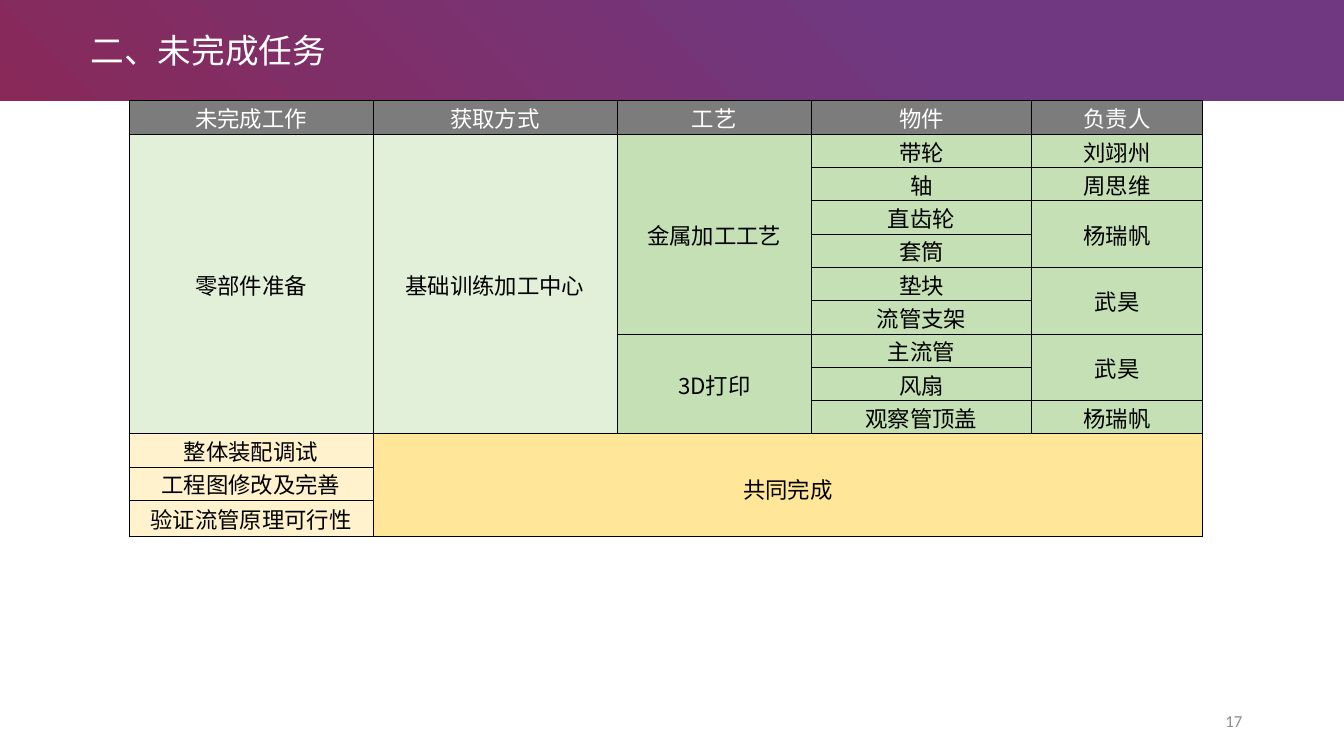
from dataclasses import dataclass
from lxml.etree import SubElement
from pptx import Presentation
from pptx.dml.color import RGBColor
from pptx.enum.shapes import MSO_SHAPE
from pptx.enum.text import MSO_ANCHOR, PP_ALIGN
from pptx.oxml import parse_xml
from pptx.oxml.ns import nsdecls, qn
from pptx.util import Inches, Pt


@dataclass(frozen=True)
class Theme:
    white: str = "FFFFFF"
    black: str = "000000"
    gray: str = "8C8C8C"
    head: str = "7C7C7C"
    pale: str = "E2F0D9"
    green: str = "C5E0B4"
    cream: str = "FFF2CC"
    gold: str = "FFE699"
    purple: str = "703881"
    wine: str = "882959"
    cjk: str = "Noto Sans CJK SC"
    title: int = 24
    body: int = 16
    small: int = 12


THEME = Theme()
WIDTH, HEIGHT = 13.33, 7.5
COLS = [2.42, 2.42, 1.93, 2.18, 1.7]
ROWS = [0.33] * 12 + [0.36]

# Cells: row, column, row span, column span, text, fill
HEADS = ["未完成工作", "获取方式", "工艺", "物件", "负责人"]
PARTS = ["带轮", "轴", "直齿轮", "套筒", "垫块", "流管支架", "主流管", "风扇", "观察管顶盖"]
OWNERS = [("刘翊州", 1), ("周思维", 1), ("杨瑞帆", 2), ("武昊", 2), ("武昊", 2), ("杨瑞帆", 1)]
TASKS = ["整体装配调试", "工程图修改及完善", "验证流管原理可行性"]


def apply(target, values):
    for name, value in values.items():
        setattr(target, name, value)


def write(frame, text, size, color, font, align):
    para = frame.paragraphs[0]
    para.alignment = align
    run = para.add_run()
    run.text = text
    apply(run.font, {"size": Pt(size), "name": font, "bold": False})
    run.font.color.rgb = RGBColor.from_string(color)
    SubElement(run.font._element, qn("a:ea"), typeface=THEME.cjk)


def place(shape, box):
    names = ("left", "top", "width", "height")
    apply(shape, dict(zip(names, map(Inches, box))))


def add_header(slide, box, text):
    left, top, width, height = box
    # Gradient band, behind the title
    band = slide.shapes.add_shape(MSO_SHAPE.RECTANGLE, *map(Inches, box))
    band.shadow.inherit = False
    band.line.fill.background()
    band.fill.gradient()
    band.fill.gradient_angle = 225
    stops = [(0.32, THEME.purple), (1, THEME.wine)]
    for stop, (pos, color) in zip(band.fill.gradient_stops, stops):
        stop.position = pos
        stop.color.rgb = RGBColor.from_string(color)
    slide.shapes._spTree.insert(2, band._element)
    # Title
    title = slide.shapes.title
    place(title, (left + 0.8, top + 0.25, width - 1.71, height / 2))
    frame = title.text_frame
    apply(frame, {"vertical_anchor": MSO_ANCHOR.MIDDLE, "word_wrap": True})
    write(frame, text, THEME.title, THEME.white, "Arial", PP_ALIGN.LEFT)


def list_cells():
    cells = [(0, col, 1, 1, text, THEME.head) for col, text in enumerate(HEADS)]
    cells += [
        (1, 0, 9, 1, "零部件准备", THEME.pale),
        (1, 1, 9, 1, "基础训练加工中心", THEME.pale),
        (1, 2, 6, 1, "金属加工工艺", THEME.green),
        (7, 2, 3, 1, "3D打印", THEME.green),
        (10, 1, 3, 4, "共同完成", THEME.gold),
    ]
    cells += [(row, 3, 1, 1, text, THEME.green) for row, text in enumerate(PARTS, 1)]
    row = 1
    for text, span in OWNERS:
        cells.append((row, 4, span, 1, text, THEME.green))
        row += span
    cells += [(row, 0, 1, 1, text, THEME.cream) for row, text in enumerate(TASKS, 10)]
    return cells


def style_cell(cell, fill):
    apply(cell, {
        "margin_left": Inches(0.01), "margin_right": Inches(0.01),
        "margin_top": Inches(0.01), "margin_bottom": 0,
        "vertical_anchor": MSO_ANCHOR.MIDDLE,
    })
    cell.fill.solid()
    cell.fill.fore_color.rgb = RGBColor.from_string(fill)
    props = cell._tc.get_or_add_tcPr()
    for spot, side in enumerate("LRTB"):
        props.insert(spot, parse_xml(
            f'<a:ln{side} {nsdecls("a")} w="{Pt(0.5)}"><a:solidFill>'
            f'<a:srgbClr val="{THEME.black}"/></a:solidFill></a:ln{side}>'))


def add_tasks(slide, left, top):
    frame = slide.shapes.add_table(
        len(ROWS), len(COLS), Inches(left), Inches(top),
        Inches(sum(COLS)), Inches(sum(ROWS)))
    table = frame.table
    apply(table, {"first_row": False, "horz_banding": False})
    for col, width in zip(table.columns, COLS):
        col.width = Inches(width)
    for row, height in zip(table.rows, ROWS):
        row.height = Inches(height)
    for row, col, down, across, text, fill in list_cells():
        for y in range(row, row + down):
            for x in range(col, col + across):
                style_cell(table.cell(y, x), fill)
        cell = table.cell(row, col)
        if down * across > 1:
            cell.merge(table.cell(row + down - 1, col + across - 1))
        if across > 1:
            cell.margin_top = Inches(0.08)
        color = THEME.black if row else THEME.white
        write(cell.text_frame, text, THEME.body, color, THEME.cjk, PP_ALIGN.CENTER)


def add_number(slide, box, text):
    frame = slide.shapes.add_textbox(*map(Inches, box)).text_frame
    apply(frame, {"vertical_anchor": MSO_ANCHOR.MIDDLE, "word_wrap": True})
    write(frame, text, THEME.small, THEME.gray, "Calibri", PP_ALIGN.RIGHT)


def main():
    deck = Presentation()
    apply(deck, {"slide_width": Inches(WIDTH), "slide_height": Inches(HEIGHT)})
    slide = deck.slides.add_slide(deck.slide_layouts[5])
    add_header(slide, (0, 0, WIDTH, 1), "二、未完成任务")
    add_tasks(slide, 1.28, 1)
    add_number(slide, (9.42, 6.95, 3, 0.4), "17")
    deck.save("out.pptx")


if __name__ == "__main__":
    main()
